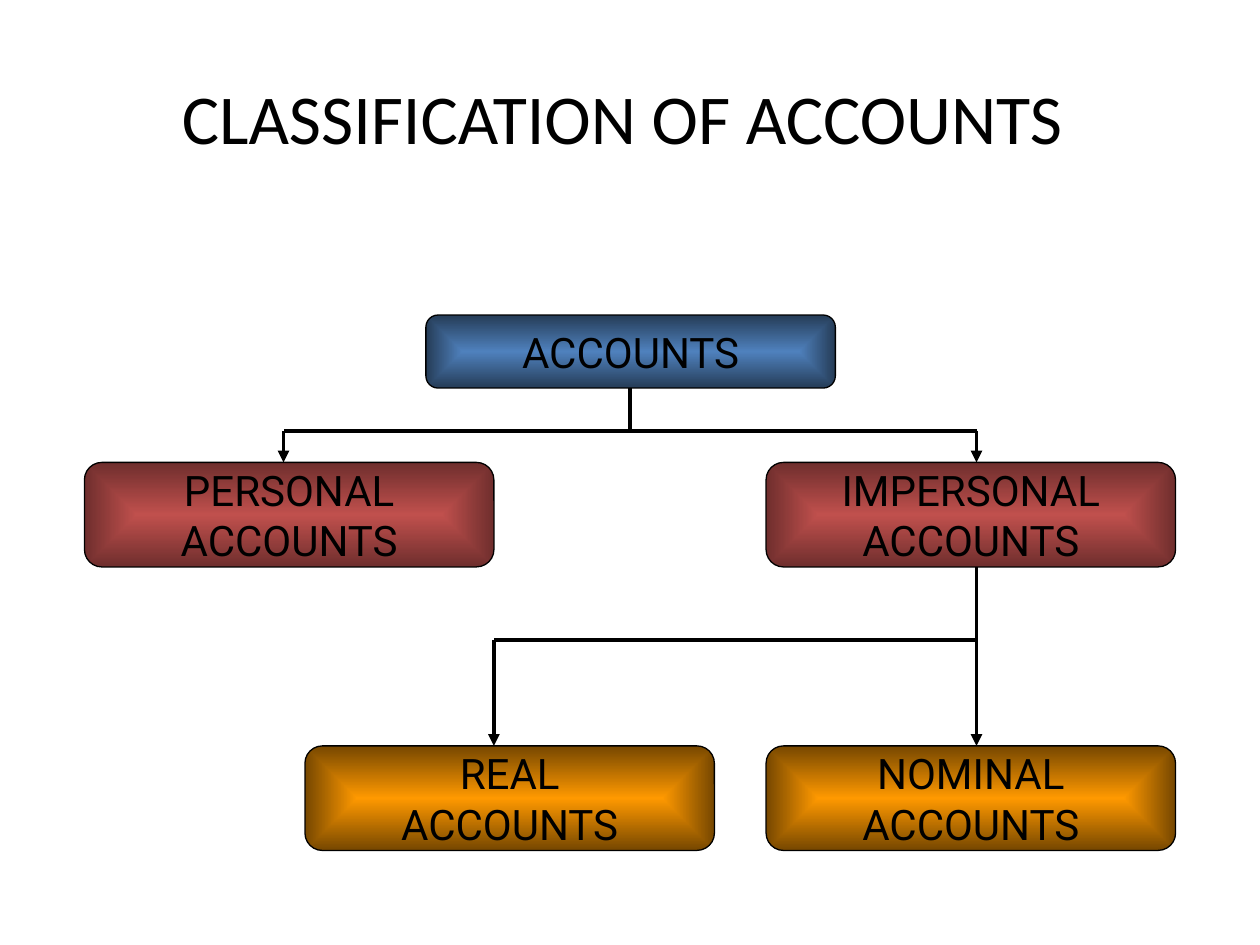
import pptx
import pptx.util
import pptx.dml.color
import pptx.enum.shapes
import pptx.enum.text
import pptx.oxml
import pptx.oxml.ns
from lxml import etree

Inches = pptx.util.Inches
qn = pptx.oxml.ns.qn

COLORS = {
    "ink": "000000",
    "blue": "4F81BD",
    "dark_blue": "253C57",
    "red": "C0504D",
    "dark_red": "6F2E2D",
    "orange": "FF9900",
    "dark_orange": "764700",
}
TITLE_FONT = {"name": "Calibri", "size": pptx.util.Pt(40)}
NODE_FONT = {"name": "Roboto", "size": pptx.util.Pt(24)}
FRAME_FORMAT = {
    "vertical_anchor": pptx.enum.text.MSO_ANCHOR.MIDDLE,
    "margin_left": Inches(0.1),
    "margin_right": Inches(0.1),
    "margin_top": Inches(0.05),
    "margin_bottom": Inches(0.05),
}
NODE_WIDTH = 3.25
NODE_HEIGHT = 0.83
LEVEL_TOPS = (2.5, 3.67, 5.92)
RIGHT_COLUMN = 6.08


def rgb(name):
    return pptx.dml.color.RGBColor.from_string(COLORS[name])


def set_attributes(target, values):
    for name, value in values.items():
        setattr(target, name, value)


def write_lines(shape, lines, font, wrap):
    frame = shape.text_frame
    set_attributes(frame, {**FRAME_FORMAT, "word_wrap": wrap})
    frame.text = "\n".join(lines)
    for paragraph in frame.paragraphs:
        paragraph.alignment = pptx.enum.text.PP_ALIGN.CENTER
        run = paragraph.runs[0]
        set_attributes(run.font, font)
        run.font.color.rgb = rgb("ink")


def fill_from_center(shape, color):
    shape.fill.gradient()
    for stop, name in zip(shape.fill.gradient_stops, (color, "dark_" + color)):
        stop.color.rgb = rgb(name)
    gradient = shape._element.spPr.find(qn("a:gradFill"))
    gradient.remove(gradient.find(qn("a:lin")))
    shading = etree.SubElement(gradient, qn("a:path"), {"path": "rect"})
    sides = {side: "50000" for side in "ltrb"}
    etree.SubElement(shading, qn("a:fillToRect"), sides)


def add_title(slide, box):
    shape = slide.shapes.add_textbox(*map(Inches, box))
    write_lines(shape, ["CLASSIFICATION OF ACCOUNTS "], TITLE_FONT, True)


def add_node(slide, box, lines, color):
    shape = slide.shapes.add_shape(
        pptx.enum.shapes.MSO_SHAPE.FLOWCHART_ALTERNATE_PROCESS, *map(Inches, box))
    shape.shadow.inherit = False
    fill_from_center(shape, color)
    shape.line.color.rgb = rgb("ink")
    shape.line.width = pptx.util.Pt(0.75)
    write_lines(shape, lines, NODE_FONT, False)


def add_line(slide, start, end, arrow=False):
    connector = slide.shapes.add_connector(
        pptx.enum.shapes.MSO_CONNECTOR.STRAIGHT, *map(Inches, start + end))
    connector.line.color.rgb = rgb("ink")
    connector.line.width = pptx.util.Pt(2.25)
    properties = connector._element.spPr
    if arrow:
        line = properties.find(qn("a:ln"))
        etree.SubElement(line, qn("a:tailEnd"), {"type": "triangle"})
    etree.SubElement(properties, qn("a:effectLst"))


def add_branch(slide, parent_x, top, middle, bottom, child_xs):
    add_line(slide, (parent_x, top), (parent_x, middle))
    for child_x in child_xs:
        if child_x != parent_x:
            add_line(slide, (parent_x, middle), (child_x, middle))
        add_line(slide, (child_x, middle), (child_x, bottom), arrow=True)


def add_account_tree(slide):
    root_top, group_top, leaf_top = LEVEL_TOPS
    root_height = 0.58
    add_node(slide, (3.38, root_top, NODE_WIDTH, root_height), ["ACCOUNTS"], "blue")
    nodes = [
        ("PERSONAL", 0.67, group_top, "red"),
        ("IMPERSONAL", RIGHT_COLUMN, group_top, "red"),
        ("REAL", 2.42, leaf_top, "orange"),
        ("NOMINAL", RIGHT_COLUMN, leaf_top, "orange"),
    ]
    for name, left, top, color in nodes:
        box = (left, top, NODE_WIDTH, NODE_HEIGHT)
        add_node(slide, box, [name, "ACCOUNTS"], color)
    add_branch(slide, 5, root_top + root_height, 3.42, group_top, (2.25, 7.75))
    add_branch(slide, 7.75, group_top + NODE_HEIGHT, 5.08, leaf_top, (3.92, 7.75))


def main():
    presentation = pptx.Presentation()
    presentation.slide_width = Inches(10)
    presentation.slide_height = Inches(7.5)
    slide = presentation.slides.add_slide(presentation.slide_layouts[6])
    add_title(slide, (0.5, 0.3, 9, 1.25))
    add_account_tree(slide)
    presentation.save("out.pptx")


if __name__ == "__main__":
    main()
